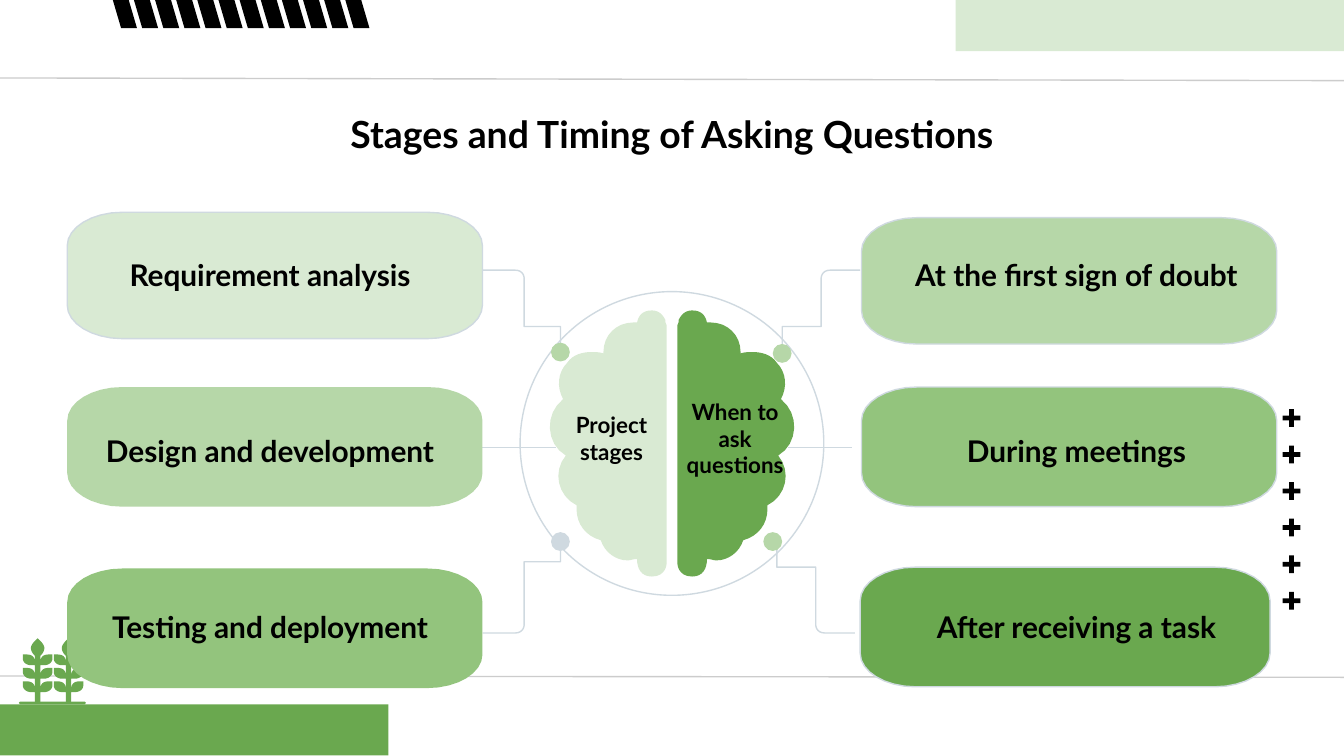
from lxml import etree
from pptx import Presentation
from pptx.dml.color import RGBColor
from pptx.enum import shapes, text
from pptx.oxml import ns
from pptx.util import Inches, Pt

COLORS = {"black": "000000", "rule": "CCCCCC", "outline": "CFD9E0", "pale": "D9EAD3",
          "light": "B6D7A8", "medium": "93C47D", "dark": "6AA84F"}
MARGIN = Inches(0.1)
FRAME_FORMAT = {"word_wrap": True, "margin_left": MARGIN, "margin_right": MARGIN,
                "margin_top": MARGIN, "margin_bottom": MARGIN}


def flatten(path, steps=8):
    """Turn (x, y) corners and (x1, y1, x2, y2, x, y) Bezier curves into points."""
    points = []
    for part in path:
        if len(part) == 2:
            points.append(part)
            continue
        start = points[-1]
        for step in range(1, steps + 1):
            t = step / steps
            points.append(tuple(
                (1 - t) ** 3 * start[axis] + 3 * (1 - t) ** 2 * t * part[axis]
                + 3 * (1 - t) * t ** 2 * part[axis + 2] + t ** 3 * part[axis + 4]
                for axis in (0, 1)))
    return points


def style(shape, fill=None, line=None):
    shape.shadow.inherit = False
    if fill:
        shape.fill.solid()
        shape.fill.fore_color.rgb = RGBColor.from_string(COLORS[fill])
    else:
        shape.fill.background()
    if line:
        shape.line.color.rgb = RGBColor.from_string(COLORS[line])
        shape.line.width = Pt(0.75)
    else:
        shape.line.fill.background()


presentation = Presentation()
presentation.slide_width = Inches(10)
presentation.slide_height = Inches(10 * 9 / 16)
slide = presentation.slides.add_slide(presentation.slide_layouts[5])
canvas = slide.shapes

# Horizontal rules and the lines from the brain to the middle cards
for x1, y1, x2, y2, color in [
    (-0.04, 0.58, 10.04, 0.6, "rule"),
    (-0.04, 5.03, 10.04, 5.04, "rule"),
    (3.59, 3.33, 4.14, 3.33, "outline"),
    (5.86, 3.33, 6.34, 3.33, "outline"),
]:
    connector = canvas.add_connector(shapes.MSO_CONNECTOR.STRAIGHT, Inches(x1), Inches(y1),
                                     Inches(x2), Inches(y2))
    connector.line.color.rgb = RGBColor.from_string(COLORS[color])
    connector.line.width = Pt(0.75)
    etree.SubElement(connector._element.spPr, ns.qn("a:effectLst"))

# Corner bands, stripes and plus signs
for left, top, width, color in [(7.11, 0, 2.89, "pale"), (0, 5.24, 2.89, "dark")]:
    band = canvas.add_shape(shapes.MSO_SHAPE.RECTANGLE, Inches(left), Inches(top),
                            Inches(width), Inches(0.38))
    style(band, color)

for index in range(12):
    stripe = canvas.add_shape(shapes.MSO_SHAPE.PARALLELOGRAM, Inches(0.79 + 1.73 * index / 11),
                              Inches(-0.17), Inches(0.23), Inches(0.38))
    stripe.adjustments[0] = 0.485
    stripe._element.spPr.xfrm.set("flipH", "1")
    style(stripe, "black")

for index in range(6):
    plus = canvas.add_shape(shapes.MSO_SHAPE.MATH_PLUS, Inches(9.52), Inches(3.02 + 1.36 * index / 5),
                            Inches(0.18), Inches(0.18))
    plus.adjustments[0] = 0.197
    style(plus, "black")

# Each outline: points, fill, line, closed
outlines = []

# Two ears of wheat, each a half outline and its mirror image, on a ground bar
half_ear = [(0, 4.75), (0, 4.75, -0.05, 4.79, -0.05, 4.82), (-0.05, 4.85, -0.03, 4.87, -0.02, 4.88)]
for y in (4.87, 4.97, 5.07):
    half_ear += [(-0.02, y + 0.06), (-0.02, y + 0.02, -0.04, y, -0.08, y), (-0.11, y), (-0.11, y + 0.03),
                 (-0.11, y + 0.06, -0.08, y + 0.08, -0.05, y + 0.08), (-0.02, y + 0.08)]
half_points = flatten(half_ear + [(-0.02, 5.23)])
ear = half_points + [(-x, y) for x, y in reversed(half_points)]
for center in (0.28, 0.51):
    outlines.append(([(center + x, y) for x, y in ear], "dark", None, True))
outlines.append(([(0.15, 5.22), (0.63, 5.22), (0.64, 5.23), (0.63, 5.24), (0.15, 5.24), (0.14, 5.23)],
                 "dark", None, True))

# Brain halves, mirrored about the slide's center
brain = flatten([
    (4.85, 2.31), (4.78, 2.31, 4.75, 2.35, 4.74, 2.4), (4.73, 2.4, 4.72, 2.4, 4.71, 2.4),
    (4.59, 2.4, 4.49, 2.49, 4.49, 2.62), (4.49, 2.63), (4.46, 2.62, 4.43, 2.62, 4.4, 2.62),
    (4.33, 2.62, 4.26, 2.64, 4.22, 2.7), (4.15, 2.77, 4.14, 2.88, 4.19, 2.97),
    (4.05, 3.08, 4.06, 3.3, 4.21, 3.39), (4.11, 3.51, 4.15, 3.69, 4.29, 3.76), (4.29, 3.79),
    (4.29, 3.9, 4.36, 3.99, 4.47, 4.02), (4.5, 4.11, 4.58, 4.17, 4.67, 4.17),
    (4.69, 4.17, 4.71, 4.16, 4.74, 4.16), (4.74, 4.23, 4.77, 4.29, 4.85, 4.29),
    (4.96, 4.29, 4.96, 4.19, 4.96, 4.19), (4.96, 2.42), (4.95, 2.4, 4.95, 2.39, 4.95, 2.38),
    (4.93, 2.34, 4.9, 2.31, 4.85, 2.31),
])
outlines.append((brain, "pale", None, True))
outlines.append(([(10 - x, y) for x, y in brain], "dark", None, True))

# Elbows from the cards to the dots
for start, bend, end, y, middle, bottom in [
    (3.59, 3.9, 4.17, 2.01, 2.43, 2.63),
    (3.59, 3.9, 4.17, 4.71, 4.18, 4.02),
    (6.4, 6.11, 5.82, 2.01, 2.43, 2.63),
    (6.36, 6.07, 5.78, 4.71, 4.22, 4.02),
]:
    across = 0.07 if bend > start else -0.07
    down = 0.06 if middle > y else -0.06
    elbow = flatten([(start, y), (bend - across, y), (bend, y, bend, y + down, bend, y + down),
                     (bend, middle), (end, middle), (end, bottom)])
    outlines.append((elbow, None, "outline", False))

# Cards with wide elliptical corners
for left, top, width, height, fill, line in [
    (0.5, 1.58, 3.09, 0.94, "pale", "outline"),
    (0.5, 2.88, 3.09, 0.89, "light", None),
    (0.5, 4.23, 3.09, 0.89, "medium", None),
    (6.41, 1.62, 3.09, 0.94, "light", "outline"),
    (6.41, 2.88, 3.09, 0.89, "medium", "outline"),
    (6.4, 4.22, 3.05, 0.89, "dark", "outline"),
]:
    right, bottom, rx, ry = left + width, top + height, 0.41, 0.25
    kx, ky = rx * 0.45, ry * 0.45
    card = flatten([
        (left + rx, top), (left + kx, top, left, top + ky, left, top + ry),
        (left, bottom - ry), (left, bottom - ky, left + kx, bottom, left + rx, bottom),
        (right - rx, bottom), (right - kx, bottom, right, bottom - ky, right, bottom - ry),
        (right, top + ry), (right, top + ky, right - kx, top, right - rx, top),
    ])
    outlines.append((card, fill, line, True))

for points, fill, line, closed in outlines:
    corners = [(Inches(x), Inches(y)) for x, y in points]
    builder = canvas.build_freeform(*corners[0], scale=1.0)
    builder.add_line_segments(corners[1:], close=closed)
    style(builder.convert_to_shape(), fill, line)

# Ring and its dots
for left, top, size, fill, line in [
    (3.87, 2.17, 2.26, None, "outline"),
    (4.1, 2.55, 0.14, "light", None),
    (4.1, 3.96, 0.14, "outline", None),
    (5.75, 2.56, 0.14, "light", None),
    (5.68, 3.96, 0.14, "light", None),
]:
    circle = canvas.add_shape(shapes.MSO_SHAPE.OVAL, Inches(left), Inches(top),
                              Inches(size), Inches(size))
    style(circle, fill, line)

# Title and labels
labels = [("Project stages", 4.06, 2.96, 0.98, 0.61, 12),
          ("When to ask questions", 4.98, 2.86, 0.98, 0.81, 12)]
for left, captions in [
    (0.62, ["Requirement analysis", "Design and development", "Testing and deployment"]),
    (6.62, ["At the first sign of doubt", "During meetings", "After receiving a task"]),
]:
    for row, caption in enumerate(captions):
        labels.append((caption, left, 1.81 + 1.31 * row, 2.78, 0.47, 16))

title = canvas.title
title.left, title.top, title.width, title.height = Inches(1.45), Inches(0.68), Inches(7.1), Inches(0.63)
title.text_frame.vertical_anchor = text.MSO_ANCHOR.MIDDLE
texts = [(title, "Stages and Timing of Asking Questions", 20)]
for caption, left, top, width, height, size in labels:
    box = canvas.add_textbox(Inches(left), Inches(top), Inches(width), Inches(height))
    box.text_frame.auto_size = text.MSO_AUTO_SIZE.SHAPE_TO_FIT_TEXT
    texts.append((box, caption, size))

for shape, caption, size in texts:
    for name, value in FRAME_FORMAT.items():
        setattr(shape.text_frame, name, value)
    paragraph = shape.text_frame.paragraphs[0]
    paragraph.alignment = text.PP_ALIGN.CENTER
    run = paragraph.add_run()
    run.text = caption
    for name, value in {"name": "Lato", "size": Pt(size), "bold": True}.items():
        setattr(run.font, name, value)
    run.font.color.rgb = RGBColor.from_string(COLORS["black"])

presentation.save("out.pptx")
